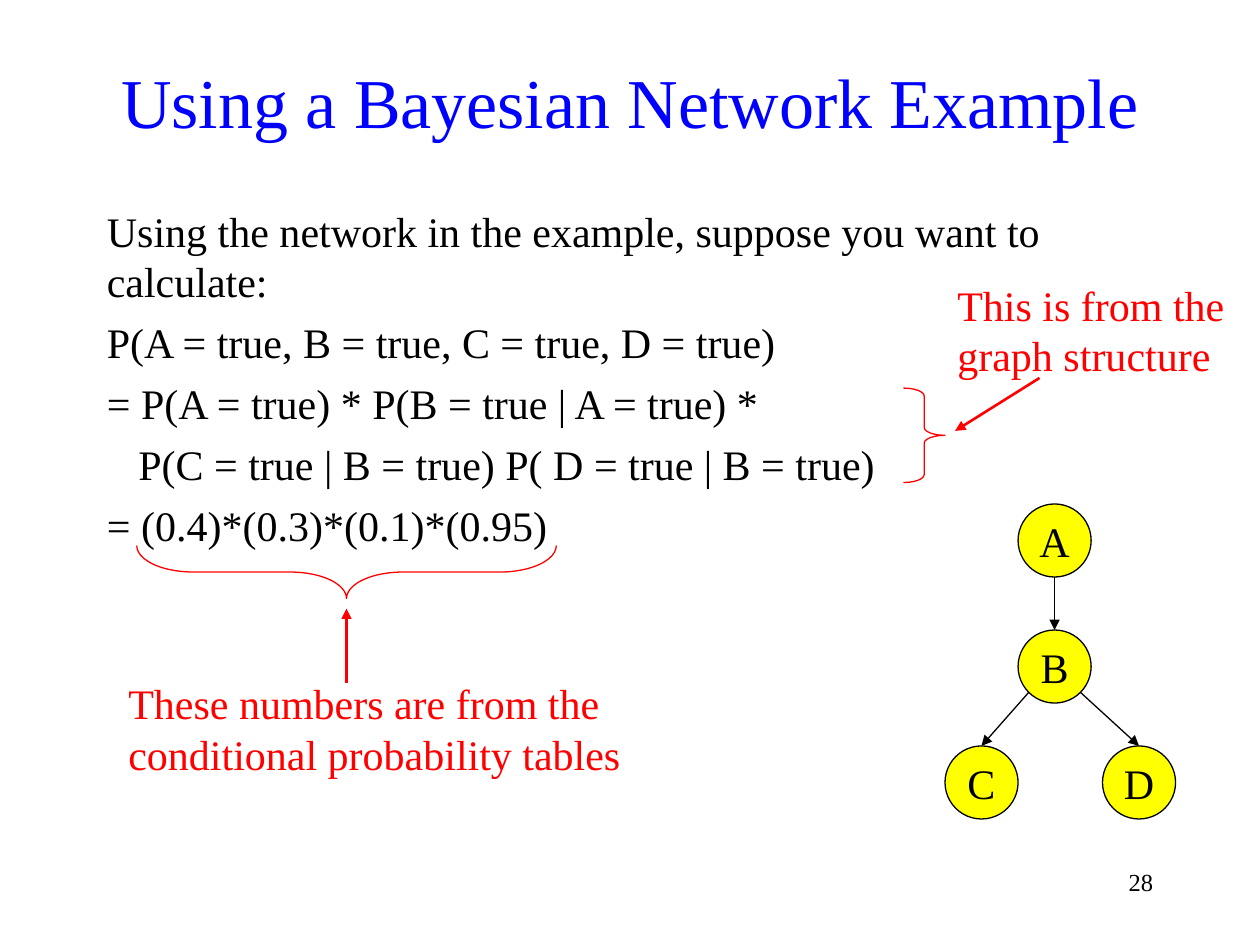
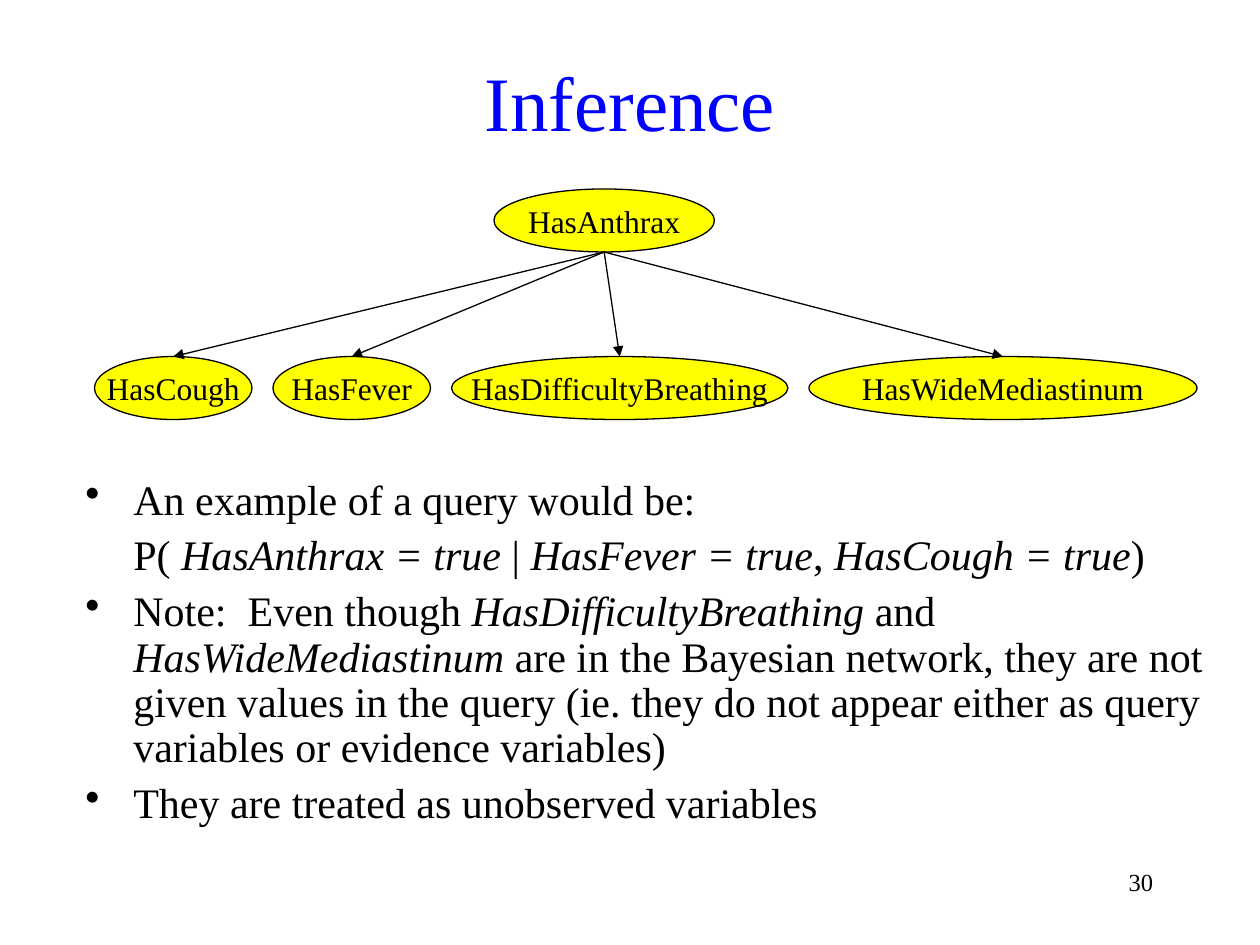
"""Build two slides on Bayesian networks."""
import dataclasses
import math

import pptx
import pptx.dml.color
import pptx.enum.shapes
import pptx.enum.text
import pptx.oxml.ns
import pptx.util
from lxml import etree

Inches = pptx.util.Inches
Pt = pptx.util.Pt
RGB = pptx.dml.color.RGBColor
Align = pptx.enum.text.PP_ALIGN
Anchor = pptx.enum.text.MSO_ANCHOR
Shape = pptx.enum.shapes.MSO_SHAPE
qn = pptx.oxml.ns.qn


@dataclasses.dataclass(frozen=True)
class Theme:
    """Colours, font and type sizes shared by the slides."""
    font: str = "Times New Roman"
    ink: RGB = RGB(0, 0, 0)
    title: RGB = RGB(0, 0, 255)
    note: RGB = RGB(255, 0, 0)
    node: RGB = RGB(255, 255, 0)
    body_size: int = 24
    node_size: int = 18
    number_size: int = 14
    thin: float = 0.75
    thick: float = 1.5


@dataclasses.dataclass(frozen=True)
class Box:
    """A region in inches."""
    x: float
    y: float
    w: float
    h: float

    def emu(self):
        """Return left, top, width and height as lengths."""
        return [Inches(v) for v in (self.x, self.y, self.w, self.h)]


THEME = Theme()
TITLE = Box(0.75, 0.17, 8.5, 1.25)
NUMBER = Box(8.17, 6.83, 1.08, 0.5)


def write(p, text, size, color=THEME.ink, align=Align.LEFT):
    """Fill a paragraph, with the parts between underscores in italics."""
    p.alignment = align
    for i, part in enumerate(text.split("_")):
        r = p.add_run()
        r.text = part
        r.font.name, r.font.size, r.font.color.rgb = THEME.font, Pt(size), color
        r.font.italic = i % 2 == 1


def add_text(s, box, lines, size=THEME.body_size, color=THEME.ink, align=Align.LEFT,
             anchor=Anchor.TOP):
    """Add a wrapped text box and return its paragraphs."""
    tf = s.shapes.add_textbox(*box.emu()).text_frame
    tf.word_wrap, tf.vertical_anchor = True, anchor
    for i, line in enumerate(lines):
        p = tf.add_paragraph() if i else tf.paragraphs[0]
        p.space_before = Pt(6 if i else 0)
        write(p, line, size, color, align)
    return tf.paragraphs


def indent(p, left, first=0.0):
    """Set the left margin and first-line indent of a paragraph."""
    pPr = p._p.get_or_add_pPr()
    pPr.set("marL", str(Inches(left)))
    pPr.set("indent", str(Inches(first)))
    return pPr


def add_node(s, box, text, size):
    """Add a yellow ellipse with a centred name."""
    sp = s.shapes.add_shape(Shape.OVAL, *box.emu())
    sp.shadow.inherit = False
    sp.fill.solid()
    sp.fill.fore_color.rgb = THEME.node
    sp.line.color.rgb, sp.line.width = THEME.ink, Pt(THEME.thin)
    tf = sp.text_frame
    tf.word_wrap, tf.vertical_anchor = False, Anchor.MIDDLE
    write(tf.paragraphs[0], text, size, align=Align.CENTER)
    return sp


def add_arrow(s, start, end, color=THEME.ink, width=THEME.thin, target=None):
    """Draw an arrow between two points, joined to the top of a target if given."""
    cxn = s.shapes.add_connector(pptx.enum.shapes.MSO_CONNECTOR.STRAIGHT,
                                 *(Inches(v) for v in (*start, *end)))
    cxn.line.color.rgb, cxn.line.width = color, Pt(width)
    spPr = cxn._element.spPr
    etree.SubElement(spPr.find(qn("a:ln")), qn("a:tailEnd"), type="triangle")
    etree.SubElement(spPr, qn("a:effectLst"))
    if target is not None:
        cxn.end_connect(target, 0)


def add_brace(s, box, curl, rotation=0):
    """Add a red right brace."""
    sp = s.shapes.add_shape(Shape.RIGHT_BRACE, *box.emu())
    sp.shadow.inherit = False
    sp.fill.background()
    sp.line.color.rgb, sp.line.width = THEME.note, Pt(THEME.thin)
    sp.adjustments[0] = curl
    sp.rotation = rotation


def add_frame(prs, title, size, number):
    """Add a blank slide with its title and number."""
    s = prs.slides.add_slide(prs.slide_layouts[6])
    add_text(s, TITLE, [title], size, THEME.title, Align.CENTER, Anchor.MIDDLE)
    add_text(s, NUMBER, [str(number)], THEME.number_size, align=Align.RIGHT)
    return s


def small_network(s, box):
    """Draw A above B above C and D."""
    d = 0.58
    places = {"A": (0.58, 0), "B": (0.58, 1), "C": (0, box.h - d), "D": (box.w - d, box.h - d)}
    nodes, centres = {}, {}
    for name, (x, y) in places.items():
        nodes[name] = add_node(s, Box(box.x + x, box.y + y, d, d), name, THEME.body_size)
        centres[name] = box.x + x + d / 2, box.y + y + d / 2
    for source, target, degrees in (("A", "B", 90), ("B", "C", 135), ("B", "D", 45)):
        (x, y), (tx, ty) = centres[source], centres[target]
        turn = math.radians(degrees)
        start = x + d / 2 * math.cos(turn), y + d / 2 * math.sin(turn)
        add_arrow(s, start, (tx, ty - d / 2), target=nodes[target])


def structure_note(s, box):
    """Explain the factors with a label, an arrow and a brace."""
    add_brace(s, Box(box.x, box.y + 0.91, 0.33, 0.75), 0.19)
    add_text(s, Box(box.x + 0.33, box.y, box.w - 0.33, 0.9),
             ["This is from the graph structure"], color=THEME.note)
    add_arrow(s, (box.x + 1.08, box.y + 0.83), (box.x + 0.41, box.y + 1.25),
              THEME.note, THEME.thick)


def table_note(s, box):
    """Explain the numbers with a brace, an arrow and a label."""
    span, depth, middle = 3.33, 0.42, box.x + 1.83
    add_brace(s, Box(middle - depth / 2, box.y + (depth - span) / 2, depth, span), 1.07, 90)
    add_text(s, Box(box.x, box.y + 1, box.w, 0.9),
             ["These numbers are from the conditional probability tables"], color=THEME.note)
    add_arrow(s, (middle, box.y + 1.09), (middle, box.y + 0.5), THEME.note, THEME.thick)


def symptom_network(s, box):
    """Draw the cause above an evenly spaced row of symptoms."""
    cause_x, cause_w, h = box.x + 3.17, 1.75, 0.5
    add_node(s, Box(cause_x, box.y, cause_w, h), "HasAnthrax", THEME.node_size)
    symptoms = {"HasCough": 1.25, "HasFever": 1.25,
                "HasDifficultyBreathing": 2.67, "HasWideMediastinum": 3.08}
    gap = (box.w - sum(symptoms.values())) / (len(symptoms) - 1)
    x, y = box.x, box.y + box.h - h
    for name, w in symptoms.items():
        node = add_node(s, Box(x, y, w, h), name, THEME.node_size)
        add_arrow(s, (cause_x + cause_w / 2, box.y + h), (x + w / 2, y), target=node)
        x += w + gap


def query_notes(s, box):
    """List the notes on the query, all bulleted but the formula."""
    lines = [
        "An example of a query would be:",
        "P( _HasAnthrax = true_ | _HasFever = true_, _HasCough = true_)",
        "Note:  Even though _HasDifficultyBreathing_ and _HasWideMediastinum_ are in the "
        "Bayesian network, they are not given values in the query (ie. they do not appear "
        "either as query variables or evidence variables)",
        "They are treated as unobserved variables",
    ]
    for line, p in zip(lines, add_text(s, box, lines)):
        p.line_spacing = 0.9
        if line.startswith("P("):
            indent(p, 0.38)
        else:
            etree.SubElement(indent(p, 0.38, -0.38), qn("a:buChar"), char="•")


def example_slide(prs):
    """Build the worked example."""
    s = add_frame(prs, "Using a Bayesian Network Example", 40, 28)
    paragraphs = add_text(s, Box(0.75, 1.58, 8.5, 2.83), [
        "Using the network in the example, suppose you want to calculate:",
        "P(A = true, B = true, C = true, D = true)",
        "= P(A = true) * P(B = true | A = true) *",
        "P(C = true | B = true) P( D = true | B = true)",
        "= (0.4)*(0.3)*(0.1)*(0.95)",
    ])
    indent(paragraphs[3], 0.25)
    small_network(s, Box(7.5, 4, 1.83, 2.5))
    structure_note(s, Box(7.17, 2.17, 2.66, 1.66))
    table_note(s, Box(0.92, 4.33, 4.25, 1.9))


def inference_slide(prs):
    """Build the slide on inference."""
    s = add_frame(prs, "Inference", 44, 30)
    symptom_network(s, Box(0.75, 1.5, 8.75, 1.83))
    query_notes(s, Box(0.58, 3.75, 9.08, 2.92))


def main():
    """Build and save the presentation."""
    prs = pptx.Presentation()
    prs.slide_width, prs.slide_height = Inches(10), Inches(7.5)
    example_slide(prs)
    inference_slide(prs)
    prs.save("out.pptx")


if __name__ == "__main__":
    main()
